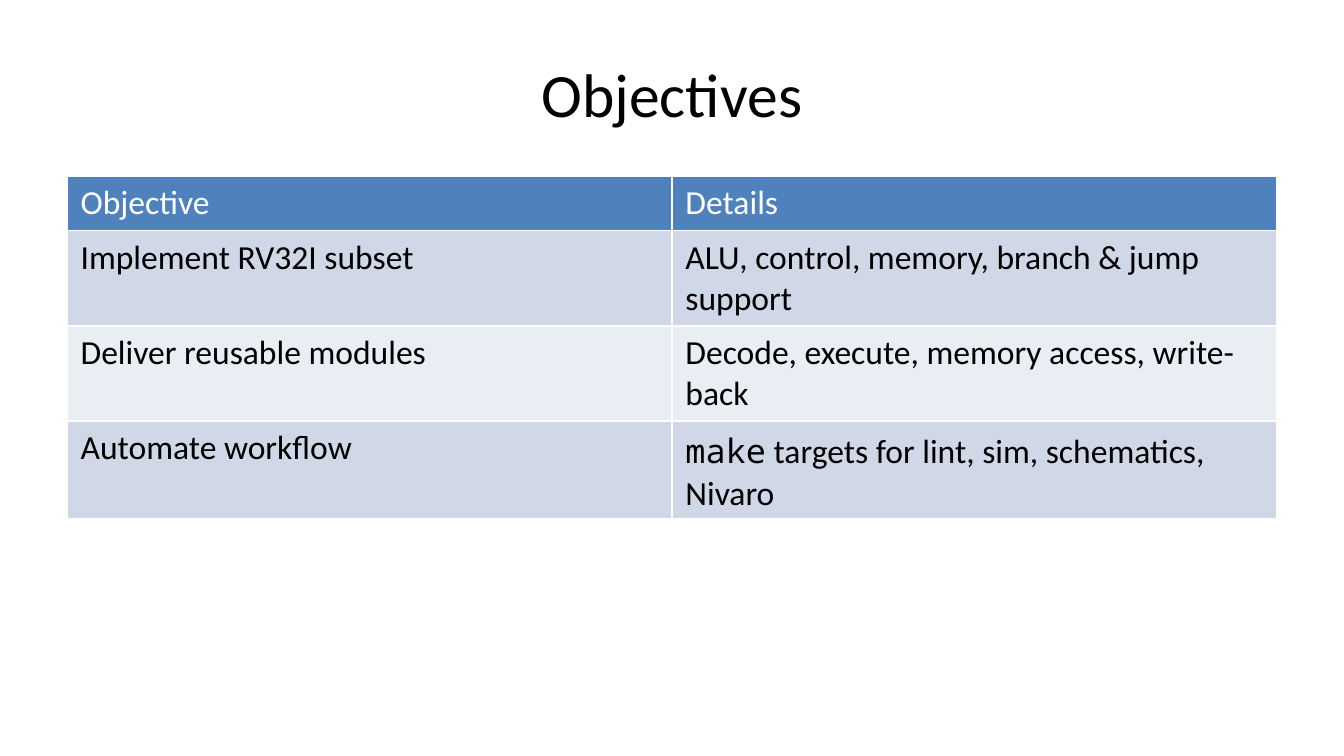
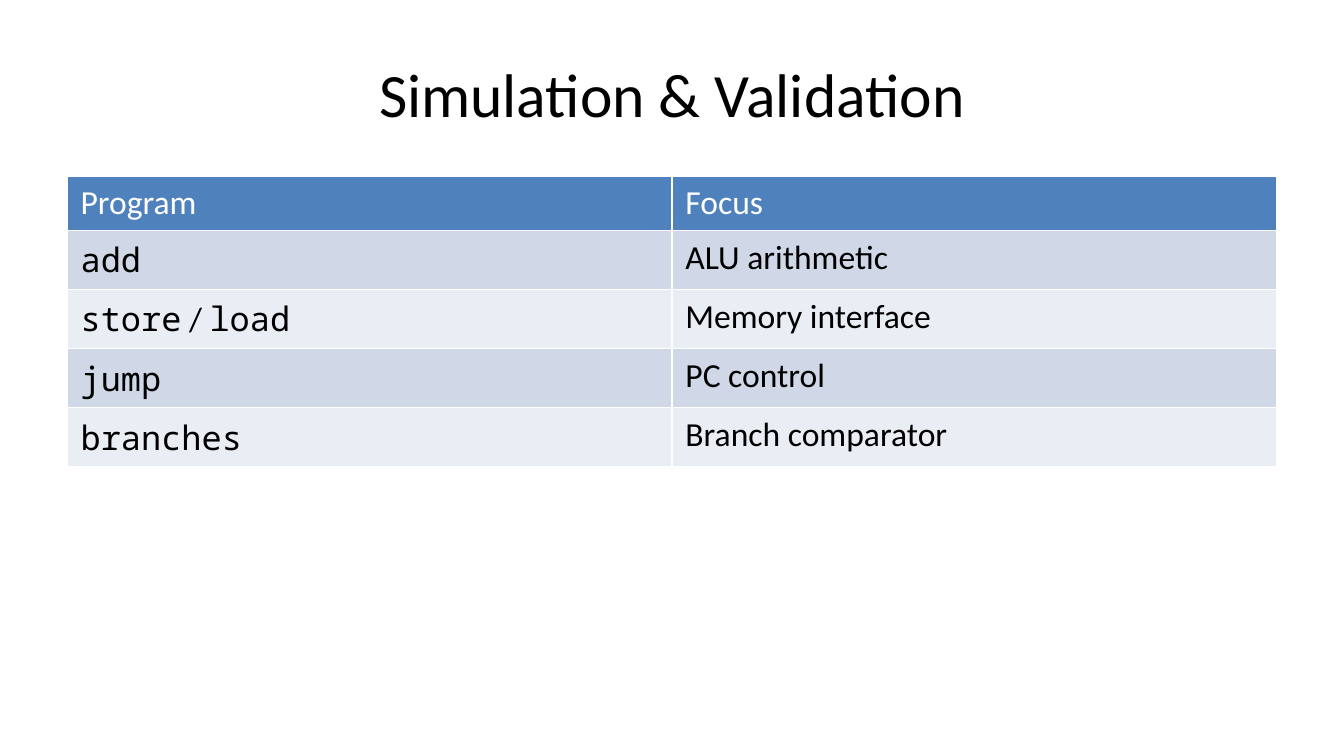
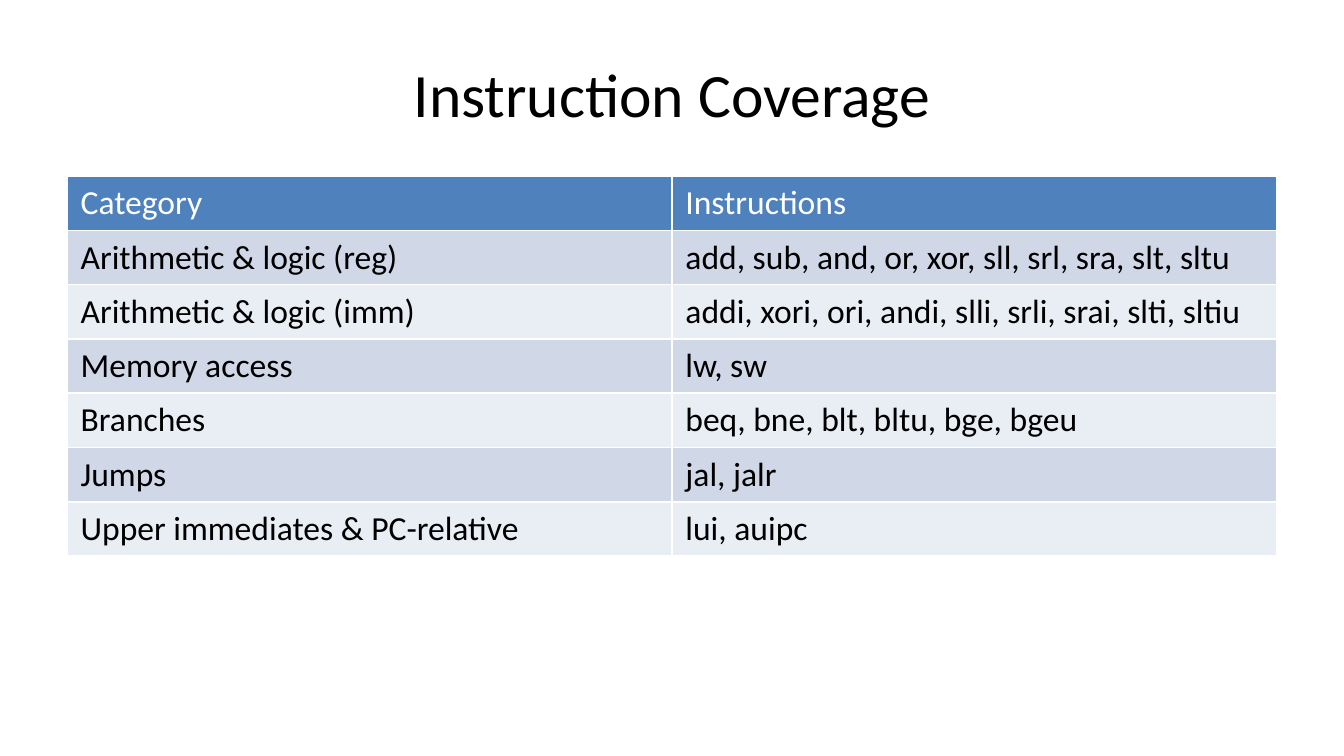
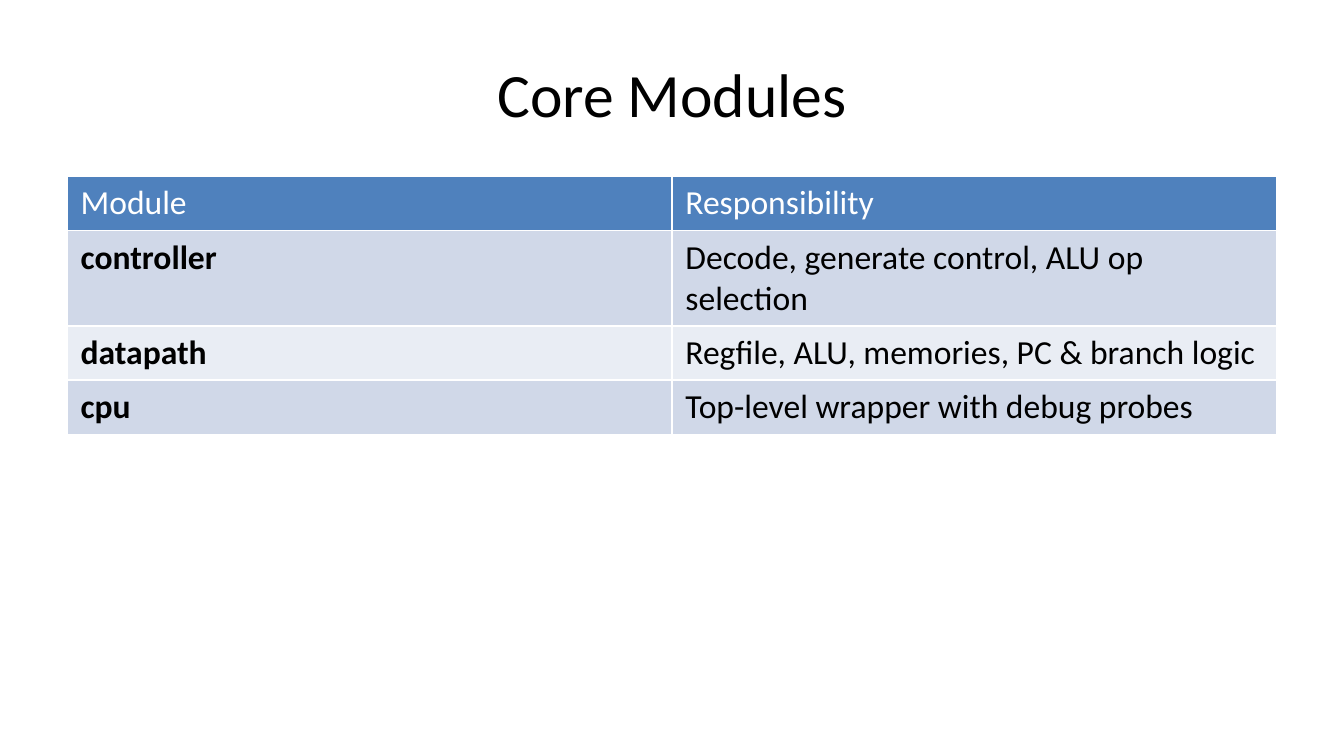
import dataclasses

import lxml.etree
import pptx
import pptx.dml.color
import pptx.enum.text
import pptx.oxml.ns
import pptx.util

Inches = pptx.util.Inches


# Shared look
@dataclasses.dataclass(frozen=True)
class Theme:
    body_font: str = "Calibri"
    code_font: str = "Noto Sans Mono"
    title_size: int = 33
    body_size: int = 18
    text: str = "000000"
    header_text: str = "FFFFFF"
    header_fill: str = "4F81BD"
    bands: tuple = ("D0D8E8", "E9EDF4")
    border: str = "FFFFFF"
    border_width: int = 1


THEME = Theme()
MARGIN, CONTENT_WIDTH = 0.5, 9

# Row heights in inches, by what the row holds
LINE = 2.83 / 7
TWO_LINES = 0.71
CODE_LINE = 0.44
CODE_TWO_LINES = 0.73


def rgb(value):
    return pptx.dml.color.RGBColor.from_string(value)


# Run formats used inside table cells
def code(text):
    return text, {"font": THEME.code_font}


def strong(text):
    return text, {"bold": True}


# Elements
def add_text(p, text, font=THEME.body_font, size=THEME.body_size,
             color=THEME.text, bold=False):
    r = p.add_run()
    r.text = text
    r.font.name = font
    r.font.size = pptx.util.Pt(size)
    r.font.color.rgb = rgb(color)
    r.font.bold = bold


def add_title(s, text):
    sp = s.shapes.add_textbox(Inches(MARGIN), Inches(0.22),
                              Inches(CONTENT_WIDTH), Inches(0.94))
    tf = sp.text_frame
    tf.word_wrap = True
    tf.vertical_anchor = pptx.enum.text.MSO_ANCHOR.MIDDLE
    p = tf.paragraphs[0]
    p.alignment = pptx.enum.text.PP_ALIGN.CENTER
    add_text(p, text, size=THEME.title_size)


def set_borders(cell):
    qn = pptx.oxml.ns.qn
    tc_pr = cell._tc.get_or_add_tcPr()
    for side in "LRTB":
        ln = lxml.etree.SubElement(tc_pr, qn(f"a:ln{side}"),
                                   w=str(pptx.util.Pt(THEME.border_width)))
        fill = lxml.etree.SubElement(ln, qn("a:solidFill"))
        lxml.etree.SubElement(fill, qn("a:srgbClr"), val=THEME.border)


def fill_cell(cell, content, color, fill):
    set_borders(cell)
    cell.fill.solid()
    cell.fill.fore_color.rgb = rgb(fill)
    runs = content if isinstance(content, list) else [content]
    for run in runs:
        text, style = (run, {}) if isinstance(run, str) else run
        add_text(cell.text_frame.paragraphs[0], text, color=color, **style)


def add_grid(s, rows):
    total = sum(height for height, *cells in rows)
    frame = s.shapes.add_table(len(rows), 2, Inches(MARGIN), Inches(1.31),
                               Inches(CONTENT_WIDTH), Inches(total))
    table = frame.table
    table.horz_banding = False
    for i, (height, *cells) in enumerate(rows):
        table.rows[i].height = Inches(height)
        color = THEME.text if i else THEME.header_text
        fill = THEME.bands[(i - 1) % 2] if i else THEME.header_fill
        for j, content in enumerate(cells):
            fill_cell(table.cell(i, j), content, color, fill)


# Slide content: title and table rows (height, left cell, right cell)
SLIDES = [
    ("Objectives", [
        (LINE, "Objective", "Details"),
        (TWO_LINES, "Implement RV32I subset",
         "ALU, control, memory, branch & jump support"),
        (TWO_LINES, "Deliver reusable modules",
         "Decode, execute, memory access, write-back"),
        (CODE_TWO_LINES, "Automate workflow",
         [code("make"), " targets for lint, sim, schematics, Nivaro"]),
    ]),
    ("Simulation & Validation", [
        (LINE, "Program", "Focus"),
        (CODE_LINE, code("add"), "ALU arithmetic"),
        (CODE_LINE, [code("store"), " / ", code("load")], "Memory interface"),
        (CODE_LINE, code("jump"), "PC control"),
        (CODE_LINE, code("branches"), "Branch comparator"),
    ]),
    ("Instruction Coverage", [
        (LINE, "Category", "Instructions"),
        (LINE, "Arithmetic & logic (reg)",
         "add, sub, and, or, xor, sll, srl, sra, slt, sltu"),
        (LINE, "Arithmetic & logic (imm)",
         "addi, xori, ori, andi, slli, srli, srai, slti, sltiu"),
        (LINE, "Memory access", "lw, sw"),
        (LINE, "Branches", "beq, bne, blt, bltu, bge, bgeu"),
        (LINE, "Jumps", "jal, jalr"),
        (LINE, "Upper immediates & PC-relative", "lui, auipc"),
    ]),
    ("Core Modules", [
        (LINE, "Module", "Responsibility"),
        (TWO_LINES, strong("controller"),
         "Decode, generate control, ALU op selection"),
        (LINE, strong("datapath"), "Regfile, ALU, memories, PC & branch logic"),
        (LINE, strong("cpu"), "Top-level wrapper with debug probes"),
    ]),
]


def main():
    prs = pptx.Presentation()
    prs.slide_width = Inches(10)
    prs.slide_height = Inches(10 * 9 / 16)
    for title, rows in SLIDES:
        s = prs.slides.add_slide(prs.slide_layouts[6])
        add_title(s, title)
        add_grid(s, rows)
    prs.save("out.pptx")


if __name__ == "__main__":
    main()
